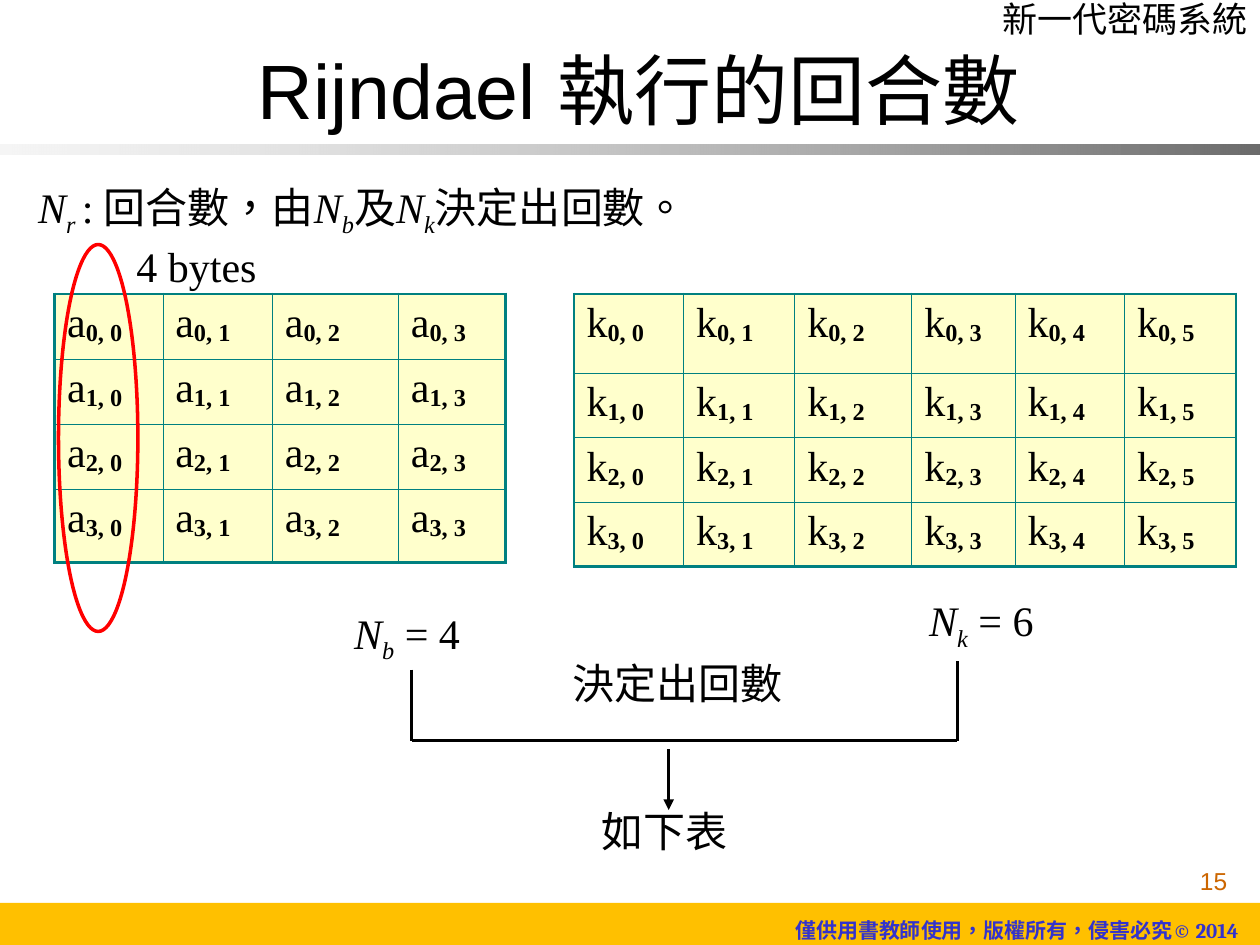
from dataclasses import dataclass

from lxml.etree import SubElement
from pptx import Presentation
from pptx.dml.color import RGBColor as RGB
from pptx.enum.shapes import MSO_CONNECTOR as Link, MSO_SHAPE as Shape
from pptx.enum.text import MSO_ANCHOR as Anchor, MSO_AUTO_SIZE as Fit, PP_ALIGN as Align
from pptx.oxml.ns import qn
from pptx.util import Cm, Pt


@dataclass(frozen=True)
class Theme:
    """Hold the colours, fonts and type sizes."""
    ink: str = "000000"
    gold: str = "FFC000"
    pale: str = "EAEAEA"
    dark: str = "6C6C6C"
    blue: str = "3333CC"
    rust: str = "CC6600"
    red: str = "FF0000"
    teal: str = "008080"
    cream: str = "FFFFCC"
    serif: str = "Times New Roman"
    sans: str = "Arial"
    book: str = "Cambria"
    tongue: str = "zh-TW"
    title: int = 44
    body: int = 24
    head: int = 20
    page: int = 14
    foot: int = 12
    line: float = 2
    frame: float = 1.47


T = Theme()


def style(para, size=T.body, face=T.serif, tone=T.ink, bold=None):
    """Set the font that a paragraph's runs share."""
    font = para.font
    font.size, font.name, font.bold = Pt(size), face, bold
    font.color.rgb = RGB.from_string(tone)


def add_run(para, text, base=0, bold=None, slant=None):
    """Add a run, raised or lowered by base percent."""
    run = para.add_run()
    run.text = text
    run.font.bold, run.font.italic = bold, slant
    run.font._element.set("lang", T.tongue)
    if base:
        run.font._element.set("baseline", str(base * 1000))


def label(slide, box, parts, wrap=False, fit=Fit.SHAPE_TO_FIT_TEXT, align=None, **look):
    """Place a one-line text box; each part is (text, kind)."""
    frame = slide.shapes.add_textbox(*map(Cm, box)).text_frame
    frame.word_wrap, frame.auto_size = wrap, fit
    para = frame.paragraphs[0]
    para.alignment = align
    style(para, **look)
    for text, kind in parts:
        slant = True if kind in ("var", "sub") else None
        add_run(para, text, -25 if kind == "sub" else 0, slant=slant)


def plain(text):
    """Wrap upright text as a list of parts."""
    return [(text, "")]


def symbol(low):
    """Give the parts of N with a subscript."""
    return [("N", "var"), (low, "sub")]


def block(slide, kind, box):
    """Add a bare preset shape."""
    shape = slide.shapes.add_shape(kind, *map(Cm, box))
    shape.shadow.inherit = False
    return shape


def stroke(slide, start, end, arrow=False):
    """Draw a black line, with an arrowhead if asked."""
    link = slide.shapes.add_connector(Link.STRAIGHT, *map(Cm, (*start, *end)))
    link.line.width = Pt(T.line)
    link.line.color.rgb = RGB.from_string(T.ink)
    if arrow:
        SubElement(link.line._get_or_add_ln(), qn("a:tailEnd"), type="triangle")
    SubElement(link._element.spPr, qn("a:effectLst"))


def border(cell, side, width):
    """Draw one edge of a cell."""
    edge = SubElement(cell._tc.get_or_add_tcPr(), qn(f"a:ln{side}"), w=str(Pt(width)))
    SubElement(SubElement(edge, qn("a:solidFill")), qn("a:srgbClr"), val=T.teal)


def matrix(slide, box, sign, cols, rows, thin):
    """Fill a table with indexed signs inside a heavy frame."""
    left, top = box
    spot = (left, top, sum(cols), sum(rows))
    table = slide.shapes.add_table(len(rows), len(cols), *map(Cm, spot)).table
    table.first_row = table.horz_banding = False
    for col, width in zip(table.columns, cols):
        col.width = Cm(width)
    for row, height in zip(table.rows, rows):
        row.height = Cm(height)
    for r in range(len(rows)):
        for c in range(len(cols)):
            cell = table.cell(r, c)
            outer = {"L": c == 0, "R": c == len(cols) - 1,
                     "T": r == 0, "B": r == len(rows) - 1}
            for side, edge in outer.items():
                border(cell, side, T.frame if edge else thin)
            cell.fill.solid()
            cell.fill.fore_color.rgb = RGB.from_string(T.cream)
            para = cell.text_frame.paragraphs[0]
            para.space_before = Pt(6)
            style(para)
            add_run(para, sign)
            add_run(para, f"{r}, {c}", -10, bold=True)


def header(slide, box):
    """Place the book name, title and shaded rule."""
    x, y, w, h = box
    rule = block(slide, Shape.RECTANGLE, (x, y + h - 0.21, w, 0.21))
    rule.line.fill.background()
    rule.fill.gradient()
    rule.fill.gradient_angle = 0
    for stop, tone in zip(rule.fill.gradient_stops, (T.pale, T.dark)):
        stop.color.rgb = RGB.from_string(tone)
    first = rule._element.xpath(".//a:gs/a:srgbClr")[0]
    SubElement(first, qn("a:alpha"), val="45000")
    label(slide, (x + w - 6.76, y - 0.18, 6.76, 1.12), plain("新一代密碼系統"),
          wrap=True, align=Align.RIGHT, size=T.head)
    title = slide.shapes.title
    title.left, title.top, title.width, title.height = map(Cm, (x + 4.94, y + 0.72, 16.5, 2.13))
    frame = title.text_frame
    frame.word_wrap, frame.auto_size = False, Fit.SHAPE_TO_FIT_TEXT
    frame.vertical_anchor = Anchor.TOP
    para = frame.paragraphs[0]
    para.alignment = Align.LEFT
    style(para, T.title, T.sans)
    add_run(para, "Rijndael 執行的回合數")


def footer(slide, box):
    """Place the page number and the copyright bar."""
    x, y, w, h = box
    bar = block(slide, Shape.RECTANGLE, box)
    bar.fill.solid()
    bar.fill.fore_color.rgb = RGB.from_string(T.gold)
    bar.line.fill.background()
    label(slide, (x + 15.78, y + 0.17, 9.63, 0.76),
          plain("僅供用書教師使用，版權所有，侵害必究© 2014"),
          size=T.foot, face=T.book, tone=T.blue, bold=True)
    label(slide, (x + w - 5.69, y - 0.86, 5.28, 1.27), plain("15"), wrap=True,
          fit=Fit.NONE, align=Align.RIGHT, size=T.page, face=T.sans, tone=T.rust)


def state(slide, box):
    """Place the data matrix with its marked column and size."""
    x, y = box
    matrix(slide, box, "a", (2.18, 2.21, 2.54, 2.16), (1.31, 1.31, 1.31, 1.49), 0.11)
    label(slide, (x + 5.79, y + 6.2, 2.7, 1.42), symbol("b") + plain(" = 4"))
    ring = block(slide, Shape.OVAL, (x + 0.08, y - 0.99, 1.6, 7.8))
    ring.fill.background()
    ring.line.color.rgb = RGB.from_string(T.red)
    ring.line.width = Pt(T.line)
    label(slide, (x + 1.4, y - 1.2, 3.1, 1.27), plain("4 bytes"))


def key(slide, box):
    """Place the key matrix and its size."""
    x, y = box
    matrix(slide, box, "k", (2.21, 2.24, 2.36, 2.08, 2.21, 2.24), (1.6, 1.3, 1.3, 1.3), 0.45)
    label(slide, (x + 6.91, y + 5.94, 2.7, 1.42), symbol("k") + plain(" = 6"))


def result(slide, box):
    """Join both sizes and point to the outcome."""
    x, y, w, h = box
    stroke(slide, (x, y + 0.17), (x, y + h))
    stroke(slide, (x + w, y), (x + w, y + h))
    stroke(slide, (x, y + h), (x + w, y + h))
    stroke(slide, (x + 5.18, y + h + 0.17), (x + 5.18, y + h + 1.4), arrow=True)
    label(slide, (x + 3, y - 0.21, 4.9, 1.27), plain("決定出回數"))
    label(slide, (x + 3.58, y + 2.79, 3.2, 1.27), plain("如下表"))


def main():
    """Build the slide and save it."""
    deck = Presentation()
    deck.slide_width, deck.slide_height = Cm(25.4), Cm(19.05)
    slide = deck.slides.add_slide(deck.slide_layouts[5])
    footer(slide, (0, 18.2, 25.4, 0.85))
    header(slide, (0, 0, 25.4, 3.12))
    state(slide, (1.1, 5.92))
    key(slide, (11.57, 5.92))
    result(slide, (8.3, 13.33, 11, 1.6))
    intro = [("N", "var"), ("r ", "sub"), (": 回合數，由", ""), *symbol("b"),
             ("及", ""), *symbol("k"), ("決定出回數。", "")]
    label(slide, (0.52, 3.53, 14.8, 1.42), intro)
    deck.save("out.pptx")


if __name__ == "__main__":
    main()
